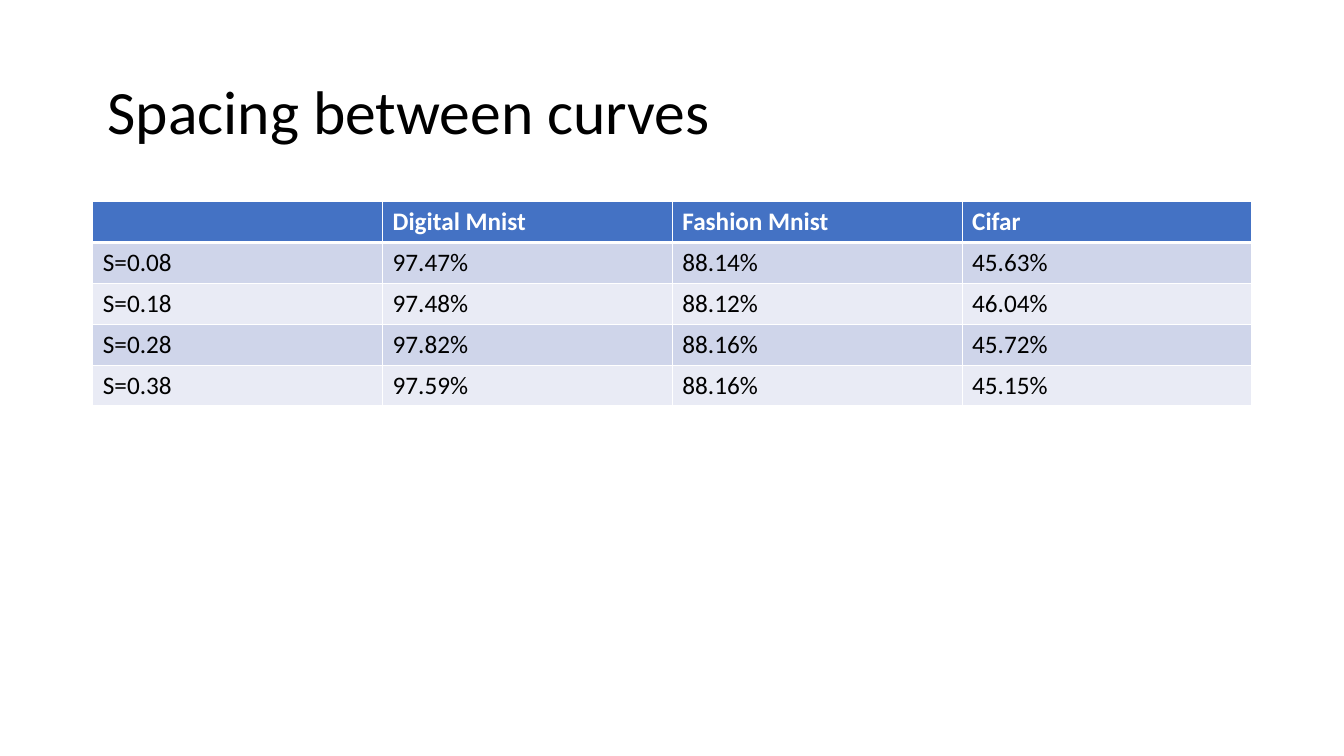
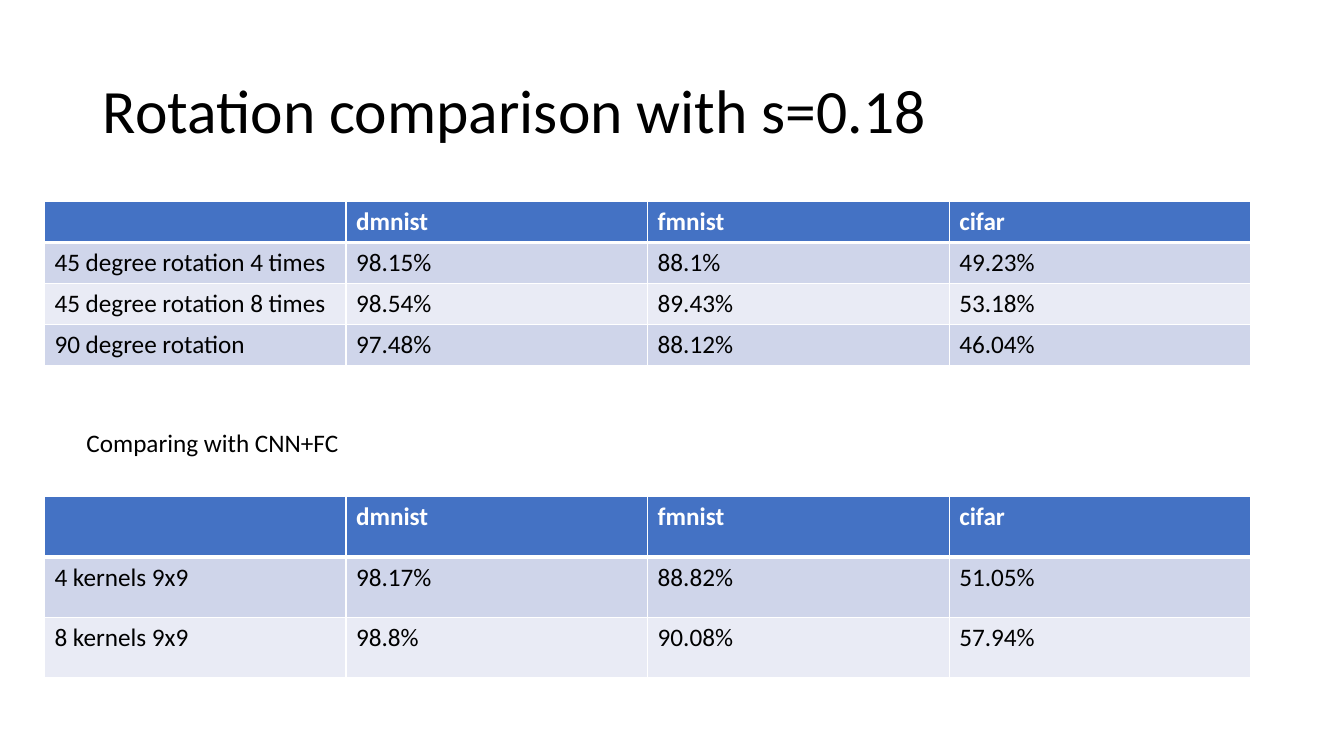
from lxml import etree
from pptx import Presentation
from pptx import util as u
from pptx.dml.color import RGBColor
from pptx.enum import text
from pptx.oxml import ns

FONT = "Calibri"
BLACK = RGBColor(0x00, 0x00, 0x00)
WHITE = RGBColor(0xFF, 0xFF, 0xFF)
HEADER_BLUE = RGBColor(0x44, 0x72, 0xC4)
BANDS = [RGBColor(0xE9, 0xEB, 0xF5), RGBColor(0xCF, 0xD5, 0xEA)]


def style_text(paragraph, size, color, bold=False):
    font = paragraph.font
    font.name, font.size, font.bold = FONT, u.Pt(size), bold
    font.color.rgb = color


def add_border(cell, side, width):
    line = etree.SubElement(cell._tc.get_or_add_tcPr(), ns.qn(f"a:ln{side}"), w=str(u.Pt(width)))
    fill = etree.SubElement(line, ns.qn("a:solidFill"))
    etree.SubElement(fill, ns.qn("a:srgbClr"), val=str(WHITE))


# Content: lengths in cm; table = (left, top, width, row height, rows)
short_names = ["", "dmnist", "fmnist", "cifar"]
slides = [
    {
        "title": ("Spacing between curves", 2.46, 1.04),
        "tables": [
            (2.34, 5.08, 29.21, 1.03, [
                ["", "Digital Mnist", "Fashion Mnist", "Cifar"],
                ["S=0.08", "97.47%", "88.14%", "45.63%"],
                ["S=0.18", "97.48%", "88.12%", "46.04%"],
                ["S=0.28", "97.82%", "88.16%", "45.72%"],
                ["S=0.38", "97.59%", "88.16%", "45.15%"],
            ]),
        ],
    },
    {
        "title": ("Rotation comparison with s=0.18", 2.34, 1.01),
        "caption": "Comparing with CNN+FC",
        "tables": [
            (1.12, 5.08, 30.4, 1.03, [
                short_names,
                ["45 degree rotation 4 times", "98.15%", "88.1%", "49.23%"],
                ["45 degree rotation 8 times", "98.54%", "89.43%", "53.18%"],
                ["90 degree rotation", "97.48%", "88.12%", "46.04%"],
            ]),
            (1.12, 12.52, 30.4, 1.52, [
                short_names,
                ["4 kernels 9x9", "98.17%", "88.82%", "51.05%"],
                ["8 kernels 9x9", "98.8%", "90.08%", "57.94%"],
            ]),
        ],
    },
]

prs = Presentation()
prs.slide_width, prs.slide_height = u.Cm(33.87), u.Cm(19.05)

for content in slides:
    slide = prs.slides.add_slide(prs.slide_layouts[5])

    # Title
    title = slide.shapes.title
    heading, left, top = content["title"]
    title.left, title.top = u.Cm(left), u.Cm(top)
    title.width, title.height = u.Cm(29.21), u.Cm(3.68)
    title.text_frame.text = heading
    title.text_frame.auto_size = text.MSO_AUTO_SIZE.NONE
    title.text_frame.vertical_anchor = text.MSO_ANCHOR.MIDDLE
    heading_line = title.text_frame.paragraphs[0]
    heading_line.alignment = text.PP_ALIGN.LEFT
    heading_line.line_spacing = 0.9
    style_text(heading_line, 44, BLACK)

    # Result tables
    for left, top, width, row_height, rows in content["tables"]:
        results = slide.shapes.add_table(
            len(rows), len(rows[0]), u.Cm(left), u.Cm(top),
            u.Cm(width), u.Cm(row_height * len(rows))).table
        for r, values in enumerate(rows):
            is_header = r == 0
            for c, value in enumerate(values):
                cell = results.cell(r, c)
                cell.text = value
                style_text(cell.text_frame.paragraphs[0], 18,
                           WHITE if is_header else BLACK, is_header)
                for side in "LRTB":
                    thick = (is_header and side == "B") or (r == 1 and side == "T")
                    add_border(cell, side, 3 if thick else 1)
                cell.fill.solid()
                cell.fill.fore_color.rgb = HEADER_BLUE if is_header else BANDS[r % 2]

    # Caption above the second table
    if "caption" in content:
        caption = slide.shapes.add_textbox(u.Cm(1.93), u.Cm(10.64), u.Cm(23.98), u.Cm(1.03))
        caption.text_frame.word_wrap = True
        caption.text_frame.text = content["caption"]
        style_text(caption.text_frame.paragraphs[0], 18, BLACK)

prs.save("out.pptx")
